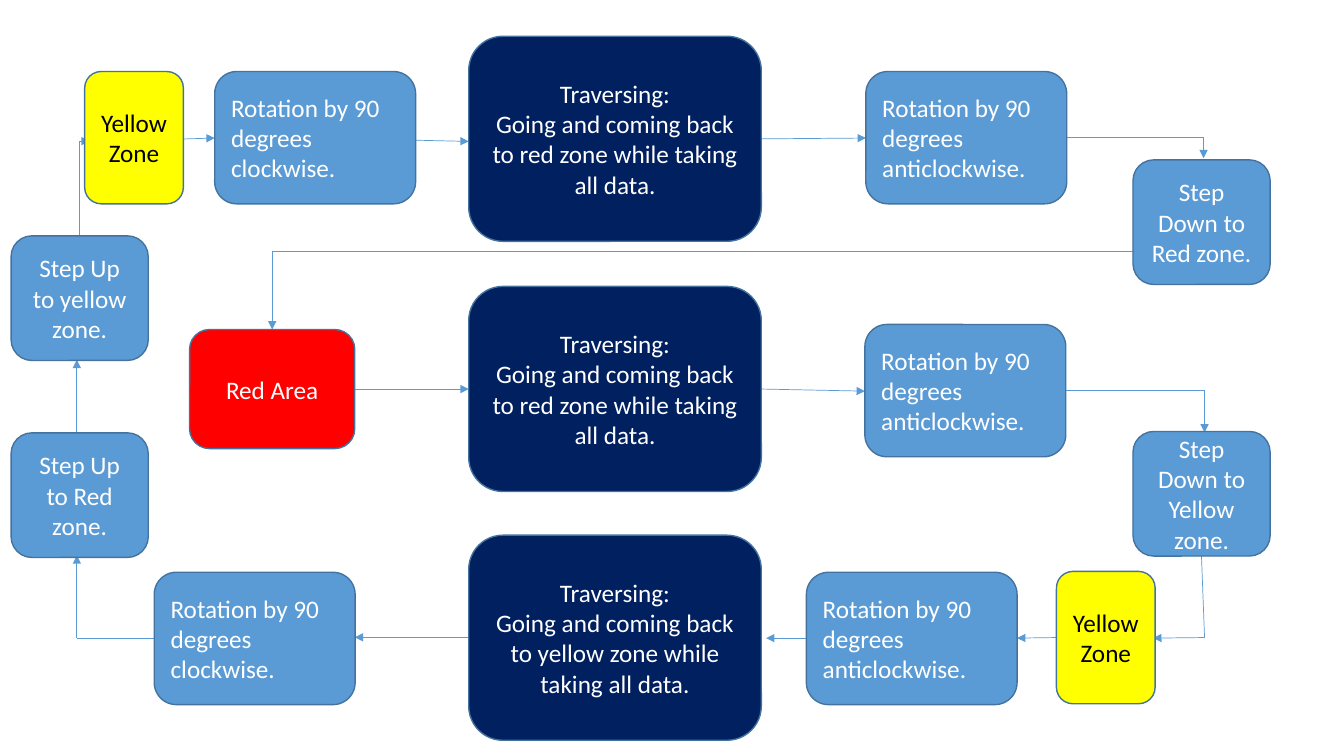
"""Builds the slide with the zone traversal flow diagram."""
from itertools import pairwise

from pptx import Presentation
from pptx.dml.color import RGBColor
from pptx.enum.shapes import MSO_CONNECTOR as Connector, MSO_SHAPE as Shape
from pptx.enum.text import MSO_ANCHOR as Anchor, PP_ALIGN as Align
from pptx.oxml.ns import qn
from pptx.util import Pt
from lxml.etree import SubElement

COLORS = {"blue": "5B9BD5", "navy": "002060", "red": "FF0000", "yellow": "FFFF00",
          "border": "43739E", "white": "FFFFFF", "black": "000000"}

KINDS = {
    "traverse": (209, 146.5, "navy", "white", Align.CENTER),
    "rotate": (143.5, 94.5, "blue", "white", Align.LEFT),
    "step": (98, 89, "blue", "white", Align.CENTER),
    "yellow": (70.5, 94.5, "yellow", "black", Align.CENTER),
    "red": (118, 85, "red", "white", Align.CENTER),
}


class FlowSlide:
    """Holds the diagram style and the current slide."""

    font, size = "Calibri", 18

    def __init__(self, page):
        self.page = page

    def color(self, name):
        return RGBColor.from_string(COLORS[name])

    def node(self, kind, left, top, *lines, wide=0):
        width, height, fill, ink, align = KINDS[kind]
        box = self.page.shapes.add_shape(
            Shape.ROUNDED_RECTANGLE, Pt(left), Pt(top), Pt(wide or width), Pt(height))
        box.shadow.inherit = False
        box.fill.solid()
        box.fill.fore_color.rgb = self.color(fill)
        box.line.color.rgb = self.color("border")
        box.line.width = Pt(1)
        frame = box.text_frame
        frame.word_wrap = True
        frame.vertical_anchor = Anchor.MIDDLE
        for number, line in enumerate(lines):
            para = frame.add_paragraph() if number else frame.paragraphs[0]
            para.alignment = align
            span = para.add_run()
            span.text = line
            span.font.name = self.font
            span.font.size = Pt(self.size)
            span.font.color.rgb = self.color(ink)

    def route(self, *points):
        for start, end in pairwise(points):
            line = self.page.shapes.add_connector(
                Connector.STRAIGHT, *(Pt(value) for value in start + end))
            line.line.color.rgb = self.color("blue")
            line.line.width = Pt(0.5)
            properties = line._element.spPr
            SubElement(properties, qn("a:effectLst"))
        SubElement(properties.find(qn("a:ln")), qn("a:tailEnd"), type="triangle")


ROUTES = [
    [(126.7, 99.4), (153.4, 98.6)],
    [(294.5, 100.1), (334.8, 101)],
    [(543.6, 99.2), (618.5, 98.6)],
    [(761.8, 98.3), (859.7, 98.3), (859.7, 113)],
    [(823.7, 179.3), (194.4, 179.3), (194.4, 235.4)],
    [(253.4, 277.9), (334.8, 277.9)],
    [(543.6, 277.9), (617.8, 279.4)],
    [(761, 279), (860.4, 279), (860.4, 308.9)],
    [(858.2, 396.7), (860.4, 455.4), (823.7, 455.8)],
    [(754.6, 455.4), (726.5, 455.8)],
    [(576, 455.8), (547.2, 455.8)],
    [(334.8, 455.2), (253.4, 455.2)],
    [(110.2, 455.8), (54.9, 455.8), (54.9, 396.7)],
    [(54.9, 313.9), (54.9, 257)],
    [(56.9, 168.5), (56.9, 100.8), (64.1, 100.8)],
]

TURN = "Rotation by 90 degrees {}."
NODES = [
    ("rotate", 153.4, 51.1, TURN.format("clockwise")),
    ("rotate", 618.5, 51.1, TURN.format("anticlockwise")),
    ("rotate", 617.8, 231.8, TURN.format("anticlockwise")),
    ("rotate", 110.2, 408.8, TURN.format("clockwise")),
    ("red", 135.4, 235.4, "Red Area"),
    ("yellow", 60.5, 51.1, "Yellow Zone"),
    ("yellow", 754.6, 408.2, "Yellow Zone"),
    ("step", 809.3, 114.2, "Step Down to Red zone."),
    ("step", 809.3, 308.2, "Step Down to Yellow zone."),
    ("step", 7.9, 168.5, "Step Up to yellow zone."),
    ("step", 7.9, 309.2, "Step Up to Red zone."),
]

deck = Presentation()
deck.slide_width, deck.slide_height = Pt(960), Pt(540)
flow = FlowSlide(deck.slides.add_slide(deck.slide_layouts[6]))

for points in ROUTES:
    flow.route(*points)
for item in NODES:
    flow.node(*item)
flow.node("rotate", 576, 408.8, TURN.format("anticlockwise"), wide=150.5)
for top, zone in ((25.9, "red"), (204.6, "red"), (382.3, "yellow")):
    flow.node("traverse", 334.8, top, "Traversing:",
              f"Going and coming back to {zone} zone while taking all data.")

deck.save("out.pptx")
